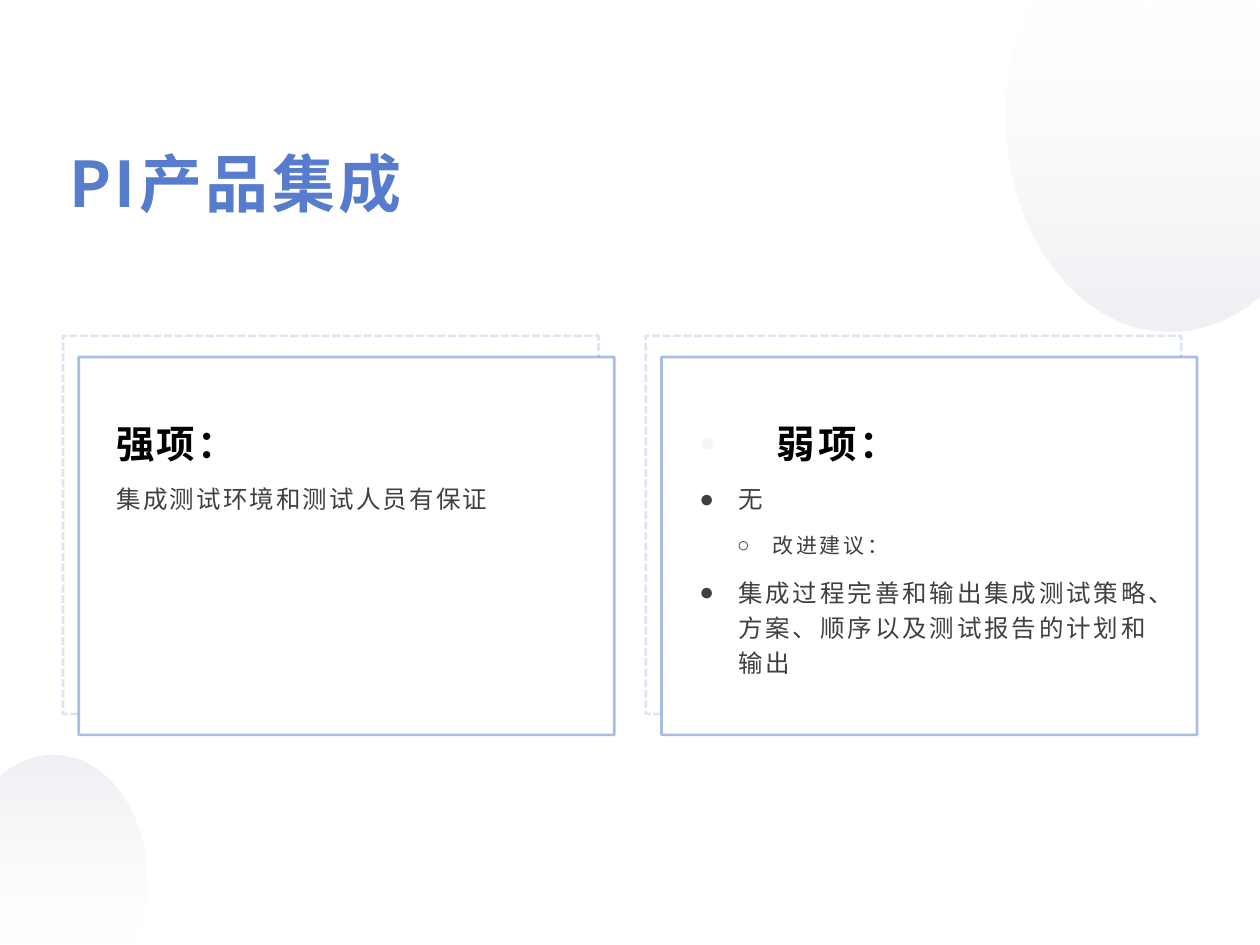
from lxml.etree import SubElement
from pptx import Presentation
from pptx.dml.color import RGBColor
from pptx.enum.dml import MSO_LINE
from pptx.enum.shapes import MSO_SHAPE
from pptx.enum.text import MSO_ANCHOR, MSO_AUTO_SIZE, PP_ALIGN
from pptx.oxml.ns import qn
from pptx.util import Inches, Pt

WIDTH, HEIGHT = Inches(10), Inches(7.5)
COL, ROW = WIDTH / 80, HEIGHT / 45
FONT = "Noto Sans CJK SC"
BLUE = RGBColor(0x57, 0x7C, 0xCE)
LILAC = RGBColor(0xBE, 0xBE, 0xD2)
PALE = RGBColor(0xF5, 0xF5, 0xF8)
WHITE = RGBColor(0xFF, 0xFF, 0xFF)
BLACK = RGBColor(0, 0, 0)
GREY = RGBColor(0x40, 0x40, 0x40)

TITLE = {"size": Pt(36), "bold": True, "color": BLUE}
HEADING = {"size": Pt(22), "bold": True, "color": BLACK}
BODY = {"size": Pt(14), "bold": False, "color": GREY}
DETAIL = {**BODY, "size": Pt(12)}
BODY_SPACING = {"line_spacing": 1.2, "space_after": Pt(8)}
FRAME = {
    "word_wrap": True, "auto_size": MSO_AUTO_SIZE.NONE,
    "margin_left": Inches(0.05), "margin_right": Inches(0.05),
    "margin_top": Inches(0.02), "margin_bottom": Inches(0.02),
}
HEADING_BULLET = {"char": "●", "left": 0.61, "hang": 0.61, "color": PALE, "percent": 70}
DOT = {"char": "●", "left": 0.31, "hang": 0.31}
RING = {"char": "○", "left": 0.58, "hang": 0.28, "level": 1}
OVAL_START = (0.1, 0)
OVAL_SEGMENTS = [
    [(1, 0)],
    [(1, 0.89)],
    [(0.95, 0.92)],
    [(0.86, 0.97), (0.75, 1), (0.64, 1)],
    [(0.29, 1), (0, 0.71), (0, 0.35)],
    [(0, 0.24), (0.03, 0.13), (0.08, 0.04)],
]


def grid(left, top, width, height):
    """Turn columns and rows into a box in EMU."""
    return [round(n * unit) for n, unit in zip((left, top, width, height), (COL, ROW, COL, ROW))]


def apply(target, values):
    """Set every attribute of a format dict on the target."""
    for key, value in values.items():
        setattr(target, key, value)


def set_alpha(properties, percents):
    """Give the colours inside an XML element their opacities in order."""
    for color, percent in zip(properties.iter(qn("a:srgbClr")), percents):
        SubElement(color, qn("a:alpha"), val=str(percent * 1000))


def add_bullet(paragraph, char, left, hang, color=None, percent=None, level=0):
    """Give a paragraph a hanging bullet."""
    paragraph.level = level
    properties = paragraph._p.get_or_add_pPr()
    properties.set("marL", str(Inches(left)))
    properties.set("indent", str(-Inches(hang)))
    if color is not None:
        SubElement(SubElement(properties, qn("a:buClr")), qn("a:srgbClr"), val=str(color))
    if percent:
        SubElement(properties, qn("a:buSzPct"), val=str(percent * 1000))
    SubElement(properties, qn("a:buFont"), typeface="Arial")
    SubElement(properties, qn("a:buChar"), char=char)


def write(shape, lines, tracking, anchor=MSO_ANCHOR.TOP, spacing=None):
    """Fill a shape with lines of (text, font style, bullet)."""
    frame = shape.text_frame
    apply(frame, {**FRAME, "vertical_anchor": anchor})
    for index, (text, style, bullet) in enumerate(lines):
        paragraph = frame.add_paragraph() if index else frame.paragraphs[0]
        apply(paragraph, {"alignment": PP_ALIGN.LEFT, **(spacing or {})})
        if bullet:
            add_bullet(paragraph, **bullet)
        run = paragraph.add_run()
        run.text = text
        apply(run.font, {"name": FONT, "size": style["size"], "bold": style["bold"]})
        run.font.color.rgb = style["color"]
        properties = run._r.get_or_add_rPr()
        properties.set("spc", str(round(tracking * 100)))
        SubElement(properties, qn("a:ea"), typeface=FONT)


def add_corner_oval(slide, left, top, width, height, rotation):
    """Draw a fading oval, cut off by a corner, in a box given in inches."""
    def place(point):
        return Inches(left + point[0] * width), Inches(top + point[1] * height)

    builder = slide.shapes.build_freeform(*place(OVAL_START))
    builder.add_line_segments([place(segment[-1]) for segment in OVAL_SEGMENTS])
    oval = builder.convert_to_shape()
    for line, segment in zip(list(oval._element.iter(qn("a:lnTo"))), OVAL_SEGMENTS):
        if len(segment) == 3:
            curve = line.getparent().makeelement(qn("a:cubicBezTo"))
            for x, y in map(place, segment):
                SubElement(curve, qn("a:pt"), x=str(x - oval.left), y=str(y - oval.top))
            line.getparent().replace(line, curve)
    oval.rotation = rotation
    oval.shadow.inherit = False
    oval.line.fill.background()
    oval.fill.gradient()
    oval.fill.gradient_angle = 270
    for stop, color, position in zip(oval.fill.gradient_stops, (WHITE, LILAC), (0, 1)):
        stop.color.rgb = color
        stop.position = position
    set_alpha(oval._element.spPr, (10, 24))


def add_outline(slide, box, dash, opacity, filled):
    """Draw a blue outlined rectangle."""
    outline = slide.shapes.add_shape(MSO_SHAPE.RECTANGLE, *grid(*box))
    outline.shadow.inherit = False
    outline.line.color.rgb = BLUE
    apply(outline.line, {"width": Pt(1.5), "dash_style": dash})
    set_alpha(outline.line._ln, (opacity,))
    if filled:
        outline.fill.solid()
        outline.fill.fore_color.rgb = WHITE
    else:
        outline.fill.background()


def add_panel(slide, box, heading, heading_rows, heading_tracking, body, body_rows, body_tracking):
    """Draw a card over its dashed backing, with a heading and body text."""
    left, top, width, height = box
    add_outline(slide, box, MSO_LINE.SQUARE_DOT, 20, False)
    add_outline(slide, (left + 1, top + 1, width, height), MSO_LINE.SOLID, 50, True)
    text_left, text_width = left + 3, width - 4
    heading_top = top + 6.3 - heading_rows
    heading_box = slide.shapes.add_textbox(*grid(text_left, heading_top, text_width, heading_rows))
    write(heading_box, [heading], heading_tracking, MSO_ANCHOR.BOTTOM)
    body_box = slide.shapes.add_textbox(*grid(text_left, top + 6.66, text_width, body_rows))
    write(body_box, body, body_tracking, spacing=BODY_SPACING)


def add_title(slide, box):
    """Place and format the title placeholder."""
    title = slide.shapes.title
    apply(title, dict(zip(("left", "top", "width", "height"), grid(*box))))
    write(title, [("PI产品集成", TITLE, None)], 2)


def main():
    """Build the slide and save it."""
    deck = Presentation()
    apply(deck, {"slide_width": WIDTH, "slide_height": HEIGHT})
    slide = deck.slides.add_slide(deck.slide_layouts[5])
    add_corner_oval(slide, 7.98, 0, 2.02, 2.63, 0)
    add_corner_oval(slide, 0, 5.99, 1.16, 1.51, 180)
    add_title(slide, (4, 6.75, 72, 4.45))
    add_panel(
        slide, (4, 16, 34, 18), ("强项：", HEADING, None), 2.6, 1.2,
        [("集成测试环境和测试人员有保证", BODY, None)], 13.6, 1.2,
    )
    add_panel(
        slide, (41, 16, 34, 18), ("弱项：", HEADING, HEADING_BULLET), 4.8, 2,
        [
            ("无", BODY, DOT),
            ("改进建议：", DETAIL, RING),
            ("集成过程完善和输出集成测试策略、方案、顺序以及测试报告的计划和输出", BODY, DOT),
        ], 11.9, 1.6,
    )
    deck.save("out.pptx")


if __name__ == "__main__":
    main()
